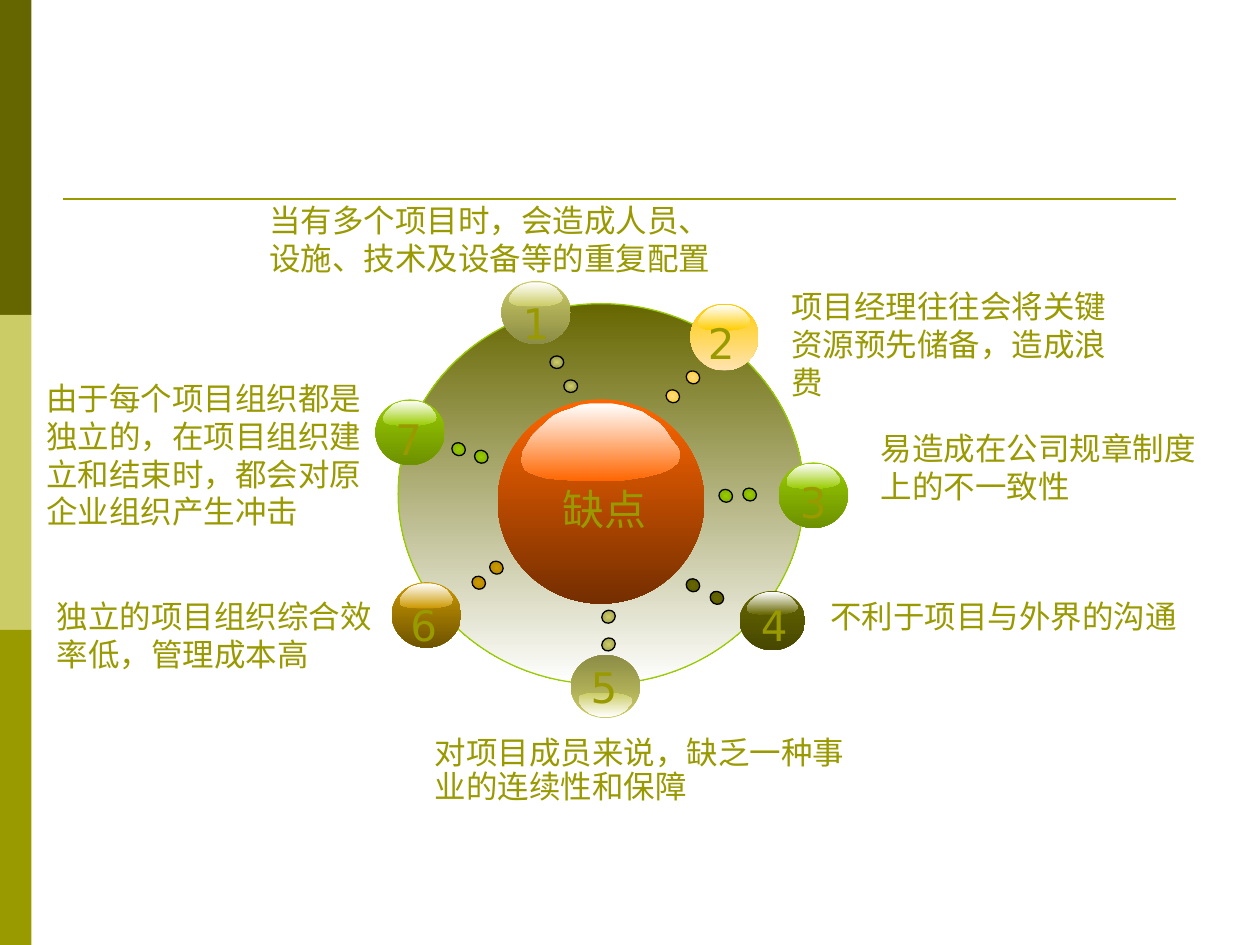
from dataclasses import dataclass

from lxml import etree
from pptx import Presentation
from pptx.dml.color import RGBColor
from pptx.enum import shapes, text
from pptx.oxml.ns import qn
from pptx.util import Inches, Pt

OLIVE, DARK_OLIVE, SAND, GREEN = "999900", "666600", "CCCC66", "99CC00"
NUMBER_FONT, LABEL_FONT = "DejaVu Sans", "Noto Sans Mono"

# Outline of the highlight on a ball, in percent of its own width and height.
GLOSS = [
    (98, 56), (100, 66), (98, 77), (93, 85), (87, 90), (77, 95), (67, 98),
    (60, 100), (35, 100), (26, 98), (17, 97), (10, 93), (5, 89), (2, 85),
    (0, 74), (1, 62), (4, 51), (7, 41), (11, 33), (15, 25), (20, 16),
    (25, 11), (31, 7), (37, 2), (43, 0), (57, 0), (64, 3), (70, 7),
    (76, 11), (81, 18), (87, 26), (91, 36), (94, 46),
]


@dataclass
class Station:
    number: str
    ball: tuple
    colors: tuple
    number_at: tuple
    dots: tuple
    dot_colors: tuple
    label: str
    label_at: tuple
    turn: float = 303.8
    flipped: bool = False
    spacing: float = None


STATIONS = [
    Station("7", (2.98, 3.17, 0.55, 0.52), (GREEN, "6D9100"), (3.04, 3.23),
            ((3.59, 3.51), (3.77, 3.57)), (GREEN, "78A100"),
            "由于每个项目组织都是独立的，在项目组织建立和结束时，都会对原企业组织产生冲击",
            (0.27, 2.96, 2.72, 1.6)),
    Station("1", (3.98, 2.23, 0.55, 0.5), (SAND, "8C8C46"), (4.05, 2.31),
            ((4.37, 2.82), (4.48, 3.01)), (SAND, "919148"),
            "当有多个项目时，会造成人员、设施、技术及设备等的重复配置",
            (2.04, 1.55, 3.83, 0.7), turn=273.6),
    Station("6", (3.11, 4.62, 0.55, 0.52), ("CC9900", "6E5300"), (3.16, 4.71),
            ((3.75, 4.57), (3.89, 4.45)), ("CC9900", "AB8000"),
            "独立的项目组织综合效率低，管理成本高", (0.35, 4.69, 2.72, 0.7)),
    Station("4", (5.87, 4.69, 0.52, 0.47), (DARK_OLIVE, "484800"), (5.94, 4.71),
            ((5.64, 4.69), (5.45, 4.59)), (DARK_OLIVE, "565600"),
            "不利于项目与外界的沟通", (6.49, 4.69, 3, 0.4)),
    Station("2", (5.48, 2.41, 0.54, 0.53), ("FFCC00", "FFE3B0"), (5.52, 2.47),
            ((5.45, 2.94), (5.29, 3.09)), ("FFDA8A", "FFCC00"),
            "项目经理往往会将关键资源预先储备，造成浪费", (6.18, 2.23, 2.76, 1)),
    Station("5", (4.53, 5.2, 0.55, 0.5), (SAND, "8C8C46"), (4.59, 5.2),
            ((4.78, 5.06), (4.78, 4.84)), (SAND, "919148"),
            "对项目成员来说，缺乏一种事业的连续性和保障",
            (3.35, 5.8, 3.55, 0.64), turn=56.2, flipped=True, spacing=0.9),
    Station("3", (6.18, 3.67, 0.55, 0.52), (GREEN, "6D9100"), (6.25, 3.73),
            ((5.71, 3.88), (5.9, 3.87)), (GREEN, "78A100"),
            "易造成在公司规章制度上的不一致性", (6.89, 3.36, 2.76, 0.7), turn=297.9),
]


def color(value):
    return RGBColor.from_string(value)


def set_gradient(shape, colors, radial=False):
    """Shade from top to bottom, or from the centre outwards."""
    shape.fill.gradient()
    shape.fill.gradient_angle = 270
    for stop, value in zip(shape.fill.gradient_stops, colors):
        stop.color.rgb = color(value)
    if radial:
        linear = next(shape._element.iter(qn("a:lin")))
        path = etree.Element(qn("a:path"), {"path": "shape"})
        center = dict.fromkeys("ltrb", "50000")
        etree.SubElement(path, qn("a:fillToRect"), center)
        linear.getparent().replace(linear, path)


def finish(shape, line=None, flipped=False):
    shape.shadow.inherit = False
    if line:
        shape.line.color.rgb = color(line)
        shape.line.width = Pt(0.75)
    else:
        shape.line.fill.background()
    if flipped:
        shape._element.spPr.xfrm.set("flipV", "1")


def add_ellipse(parent, place, colors, line=None, flipped=False, radial=False):
    ellipse = parent.add_shape(shapes.MSO_SHAPE.OVAL, *map(Inches, place))
    set_gradient(ellipse, colors, radial)
    finish(ellipse, line, flipped)
    return ellipse


def add_ball(parent, place, colors, flipped=False):
    """Ball with a glossy highlight near its top, or its bottom if flipped."""
    add_ellipse(parent, place, colors, flipped=flipped)
    left, top, width, height = place
    scale = (Inches(width * 0.77) / 100, Inches(height * 0.38) / 100)
    builder = parent.build_freeform(*GLOSS[0], scale=scale)
    builder.add_line_segments(GLOSS[1:], close=True)
    offset = 0.6 if flipped else 0.02
    gloss = builder.convert_to_shape(Inches(left + width * 0.115),
                                     Inches(top + height * offset))
    set_gradient(gloss, ("FFFFFF", colors[0]))
    finish(gloss, flipped=flipped)


def add_text(parent, place, words, size, font, wrap=True, spacing=None):
    box = parent.add_textbox(*map(Inches, place))
    frame = box.text_frame
    frame.word_wrap = wrap
    frame.auto_size = text.MSO_AUTO_SIZE.SHAPE_TO_FIT_TEXT
    para = frame.paragraphs[0]
    if spacing:
        para.line_spacing = spacing
    span = para.add_run()
    span.text = words
    span.font.size = Pt(size)
    span.font.name = font
    span.font.color.rgb = color(OLIVE)


def add_station(page, station):
    parent = page.shapes.add_group_shape().shapes
    add_ball(parent, station.ball, station.colors, station.flipped)
    add_text(parent, (*station.number_at, 0.44, 0.5), station.number, 24,
             NUMBER_FONT, wrap=False)
    for spot in station.dots:
        dot = add_ellipse(parent, (*spot, 0.1, 0.11), station.dot_colors,
                          "000000", station.flipped, radial=True)
        dot.rotation = station.turn
    add_text(parent, station.label_at, station.label, 18, LABEL_FONT,
             spacing=station.spacing)


def add_frame(page):
    """Side bands and the rule under the title area."""
    for index, value in enumerate((DARK_OLIVE, SAND, OLIVE)):
        band = page.shapes.add_shape(shapes.MSO_SHAPE.RECTANGLE, 0,
                                     Inches(2.5 * index), Inches(0.25), Inches(2.5))
        band.fill.solid()
        band.fill.fore_color.rgb = color(value)
        finish(band)
    rule = page.shapes.add_connector(shapes.MSO_CONNECTOR.STRAIGHT, Inches(0.5),
                                     Inches(1.58), Inches(9.33), Inches(1.58))
    rule.line.color.rgb = color(OLIVE)
    rule.line.width = Pt(1.5)
    etree.SubElement(rule._element.spPr, qn("a:effectLst"))


def main():
    deck = Presentation()
    deck.slide_width, deck.slide_height = Inches(10), Inches(7.5)
    page = deck.slides.add_slide(deck.slide_layouts[6])
    add_frame(page)
    add_ellipse(page.shapes, (3.16, 2.41, 3.22, 3.02), (DARK_OLIVE, "FFFFFF"), GREEN)
    hub = page.shapes.add_group_shape().shapes
    add_ball(hub, (3.95, 3.17, 1.64, 1.62), ("FF6600", "742E00"))
    add_text(page.shapes, (4.37, 3.79, 0.87, 0.5), "缺点", 24, NUMBER_FONT, wrap=False)
    for station in STATIONS:
        add_station(page, station)
    deck.save("out.pptx")


if __name__ == "__main__":
    main()
